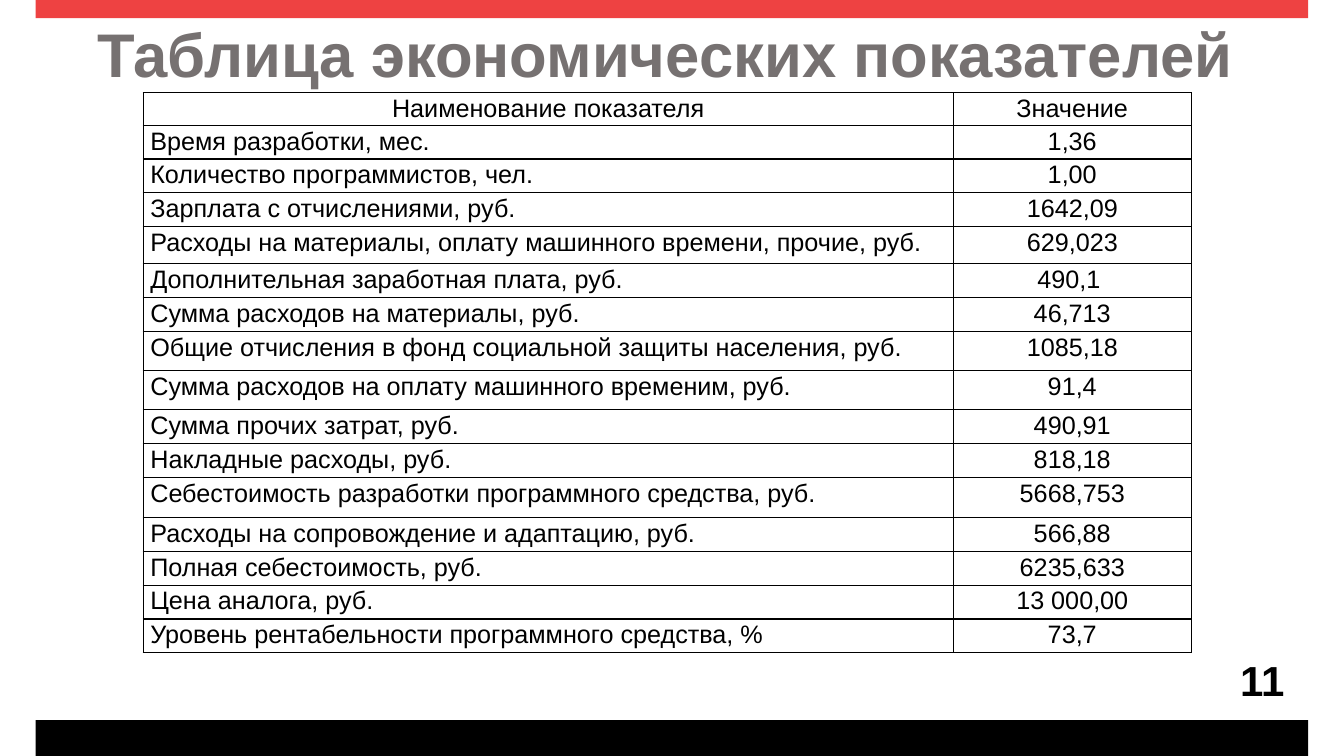
from lxml import etree
from pptx import Presentation
from pptx.dml.color import RGBColor
from pptx.enum.shapes import MSO_SHAPE
from pptx.enum.text import MSO_ANCHOR, PP_ALIGN
from pptx.oxml.ns import qn
from pptx.util import Cm, Pt

RED = RGBColor(0xEE, 0x42, 0x42)
BLACK = RGBColor(0x00, 0x00, 0x00)
GREY = RGBColor(0x76, 0x71, 0x71)

RECTANGLE = MSO_SHAPE.RECTANGLE
MIDDLE, TOP = MSO_ANCHOR.MIDDLE, MSO_ANCHOR.TOP
LEFT, CENTER = PP_ALIGN.LEFT, PP_ALIGN.CENTER

FONT = "Arial"
HEADER_HEIGHT = 0.81
ROW_HEIGHT = 0.85
COLUMN_WIDTHS = (20.42, 6)

HEADER = ("Наименование показателя", "Значение")
# Name, value, row height in centimetres
INDICATORS = [
    ("Время разработки, мес.", "1,36", ROW_HEIGHT),
    ("Количество программистов, чел.", "1,00", ROW_HEIGHT),
    ("Зарплата с отчислениями, руб.", "1642,09", ROW_HEIGHT),
    ("Расходы на материалы, оплату машинного времени, прочие, руб.", "629,023", 0.94),
    ("Дополнительная заработная плата, руб.", "490,1 ", ROW_HEIGHT),
    ("Сумма расходов на материалы, руб.", "46,713", ROW_HEIGHT),
    ("Общие отчисления в фонд социальной защиты населения, руб.", "1085,18", 0.99),
    ("Сумма расходов на оплату машинного временим, руб.", "91,4", 0.99),
    ("Сумма прочих затрат, руб.", "490,91", ROW_HEIGHT),
    ("Накладные расходы, руб.", "818,18", ROW_HEIGHT),
    ("Себестоимость разработки программного средства, руб.", "5668,753", 1.02),
    ("Расходы на сопровождение и адаптацию, руб.", "566,88", ROW_HEIGHT),
    ("Полная себестоимость, руб.", "6235,633", ROW_HEIGHT),
    ("Цена аналога, руб.", "13 000,00", ROW_HEIGHT),
    ("Уровень рентабельности программного средства, %", "73,7", ROW_HEIGHT),
]


def format_paragraph(paragraph, size, color=BLACK, bold=False, align=LEFT, spacing=1.0):
    paragraph.alignment = align
    paragraph.line_spacing = spacing
    for run in paragraph.runs:
        run.font.name = FONT
        run.font.size = Pt(size)
        run.font.bold = bold
        run.font.color.rgb = color


def add_bar(slide, left, top, width, height, color):
    bar = slide.shapes.add_shape(RECTANGLE, Cm(left), Cm(top), Cm(width), Cm(height))
    bar.shadow.inherit = False
    bar.fill.solid()
    bar.fill.fore_color.rgb = color
    bar.line.fill.background()
    return bar


def add_label(slide, text, left, top, width, height, anchor=TOP, **text_format):
    label = slide.shapes.add_textbox(Cm(left), Cm(top), Cm(width), Cm(height))
    text_frame = label.text_frame
    text_frame.word_wrap = True
    text_frame.vertical_anchor = anchor
    text_frame.text = text
    format_paragraph(text_frame.paragraphs[0], **text_format)


def add_cell_borders(cell):
    properties = cell._tc.get_or_add_tcPr()
    for side in ("a:lnL", "a:lnR", "a:lnT", "a:lnB"):
        line = etree.SubElement(properties, qn(side), w=str(Pt(1)))
        fill = etree.SubElement(line, qn("a:solidFill"))
        etree.SubElement(fill, qn("a:srgbClr"), val=str(BLACK))


def fill_cell(cell, text, align):
    cell.margin_left = cell.margin_right = Cm(0.18)
    cell.margin_top = cell.margin_bottom = 0
    cell.text_frame.text = text
    format_paragraph(cell.text_frame.paragraphs[0], size=18, align=align, spacing=1.07)
    add_cell_borders(cell)
    cell.fill.background()


def add_indicator_table(slide, left, top):
    rows = [(*HEADER, HEADER_HEIGHT), *INDICATORS]
    width = sum(COLUMN_WIDTHS)
    height = sum(row[-1] for row in rows)
    table = slide.shapes.add_table(
        len(rows), len(COLUMN_WIDTHS), Cm(left), Cm(top), Cm(width), Cm(height)
    ).table
    table.first_row = False
    table.horz_banding = False
    for column, column_width in zip(table.columns, COLUMN_WIDTHS):
        column.width = Cm(column_width)
    for index, (name, value, row_height) in enumerate(rows):
        table.rows[index].height = Cm(row_height)
        fill_cell(table.cell(index, 0), name, CENTER if index == 0 else LEFT)
        fill_cell(table.cell(index, 1), value, CENTER)


def main():
    presentation = Presentation()
    presentation.slide_width = Cm(33.88)
    presentation.slide_height = Cm(19.05)
    slide = presentation.slides.add_slide(presentation.slide_layouts[6])

    add_bar(slide, 0.9, 0, 32.08, 0.46, RED)
    add_bar(slide, 0.9, 18.15, 32.08, 0.9, BLACK)
    add_label(slide, "Таблица экономических показателей", 2.21, -0.38, 29.21, 3.68,
              anchor=MIDDLE, size=44, color=GREY, bold=True, spacing=0.9)
    footer = add_bar(slide, 1, 18.3, 31.83, 0.6, BLACK)
    footer.line.color.rgb = BLACK
    footer.line.width = Pt(1)
    add_label(slide, "11", 31.01, 16.36, 1.7, 1.54, size=30, bold=True)
    add_indicator_table(slide, 3.61, 2.34)

    presentation.save("out.pptx")


if __name__ == "__main__":
    main()
